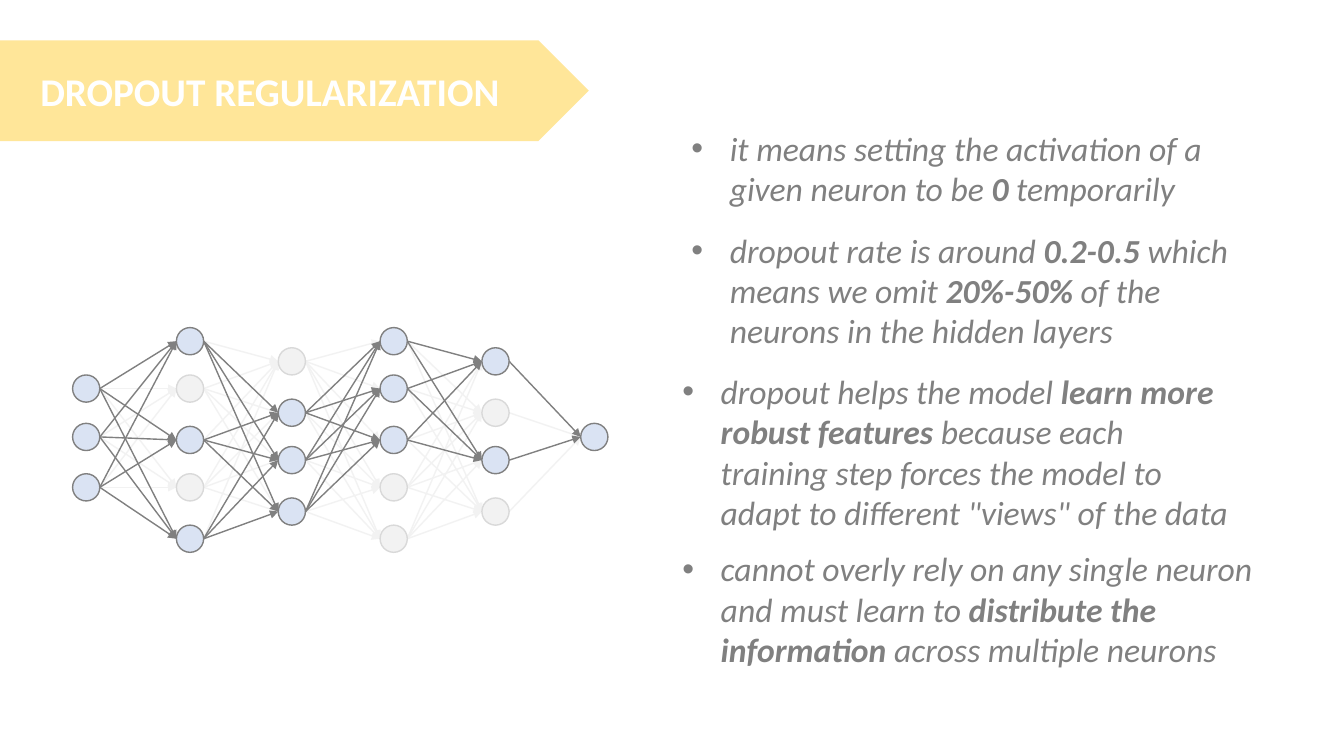
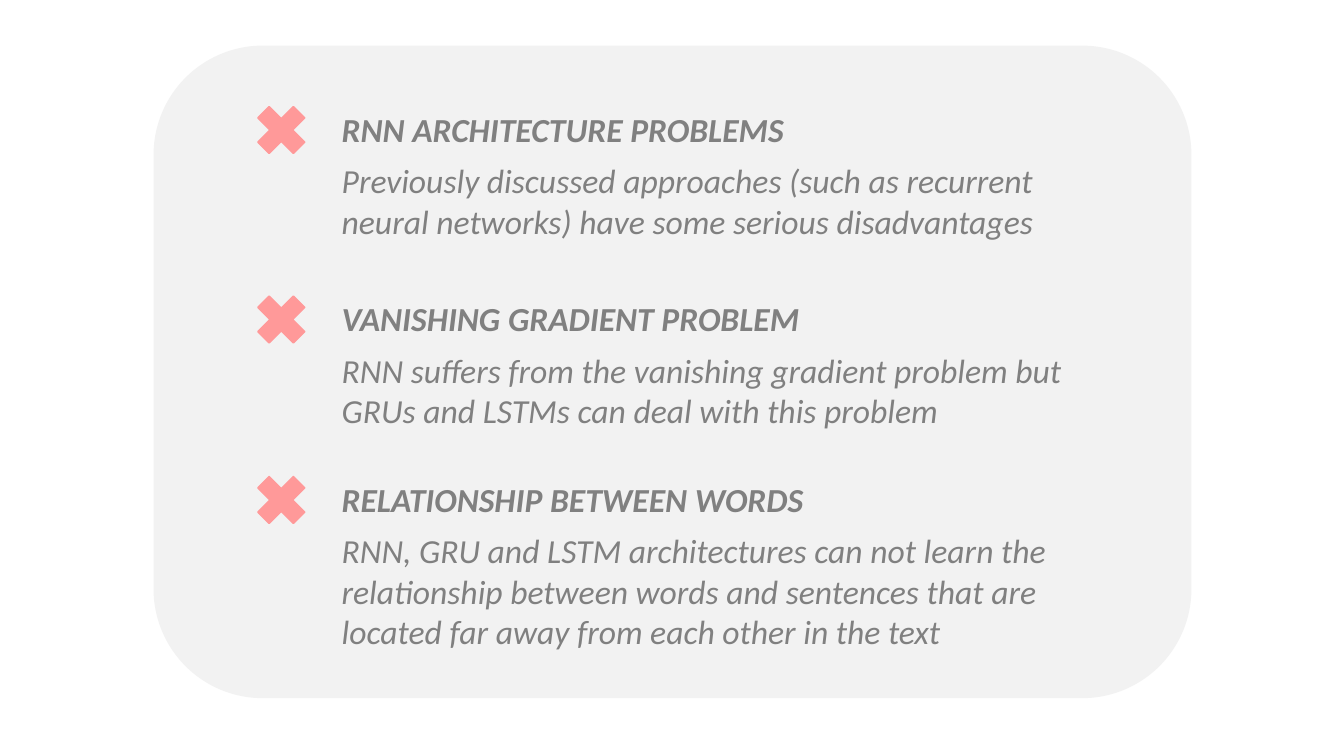
from itertools import pairwise, product

from lxml import etree
from pptx import Presentation
from pptx.dml.color import RGBColor
from pptx.enum.shapes import MSO_CONNECTOR, MSO_SHAPE
from pptx.enum.text import MSO_ANCHOR, MSO_AUTO_SIZE, PP_ALIGN
from pptx.oxml.ns import qn
from pptx.util import Inches, Pt

STRAIGHT = MSO_CONNECTOR.STRAIGHT
OVAL, BANNER = MSO_SHAPE.OVAL, MSO_SHAPE.PENTAGON
ROUNDED, CROSS = MSO_SHAPE.ROUNDED_RECTANGLE, MSO_SHAPE.MATH_MULTIPLY
LEFT, MIDDLE = PP_ALIGN.LEFT, MSO_ANCHOR.MIDDLE
FIT_SHAPE, FIT_NONE = MSO_AUTO_SIZE.SHAPE_TO_FIT_TEXT, MSO_AUTO_SIZE.NONE

FONT = "Calibri"
WHITE = RGBColor(0xFF, 0xFF, 0xFF)
YELLOW = RGBColor(0xFF, 0xE6, 0x99)
GREY = RGBColor(0x80, 0x80, 0x80)
MID_GREY = RGBColor(0xD9, 0xD9, 0xD9)
PALE_GREY = RGBColor(0xF2, 0xF2, 0xF2)
PALE_BLUE = RGBColor(0xDA, 0xE3, 0xF3)
PINK = RGBColor(0xFF, 0x99, 0x99)

TITLE = "DROPOUT REGULARIZATION"

# left, top, width, height, runs as (text, bold)
BULLETS = [
    (6.76, 1.22, 5.67, 0.91, [
        ("it means setting the activation of a given neuron to be ", False),
        ("0", True),
        (" temporarily", False)]),
    (6.76, 2.23, 5.67, 1.31, [
        ("dropout rate is around ", False),
        ("0.2-0.5 ", True),
        ("which means we omit ", False),
        ("20%-50% ", True),
        ("of the neurons in the hidden layers", False)]),
    (6.67, 3.63, 5.67, 1.72, [
        ("dropout helps the model ", False),
        ("learn more robust features", True),
        (" because each training step forces the model to adapt to "
         "different \"views\" of the data", False)]),
    (6.67, 5.39, 6.32, 1.31, [
        ("cannot overly rely on any single neuron and must learn to ", False),
        ("distribute the information", True),
        (" across multiple neurons", False)]),
]

# Tops of the neurons in a layer of each size
NEURON = 0.27
TOPS = {
    1: [4.2],
    3: [3.72, 4.2, 4.7],
    4: [3.45, 3.96, 4.43, 4.94],
    5: [3.25, 3.72, 4.23, 4.7, 5.21],
}
# left of the layer, 1 for each kept neuron and 0 for each dropped one
LAYERS = [
    (0.72, [1, 1, 1]),
    (1.75, [1, 0, 1, 0, 1]),
    (2.76, [0, 1, 1, 1]),
    (3.77, [1, 1, 1, 0, 0]),
    (4.78, [1, 0, 1, 0]),
    (5.76, [1]),
]

# heading top, body height, heading, body
PROBLEMS = [
    (1.03, 0.91, "RNN ARCHITECTURE PROBLEMS",
     "Previously discussed approaches (such as recurrent neural networks) "
     "have some serious disadvantages"),
    (2.91, 0.91, "VANISHING GRADIENT PROBLEM",
     "RNN suffers from the vanishing gradient problem but GRUs and LSTMs "
     "can deal with this problem"),
    (4.7, 1.31, "RELATIONSHIP BETWEEN WORDS",
     "RNN, GRU and LSTM architectures can not learn the relationship between "
     "words and sentences that are located far away from each other in the text"),
]


def add_shape(slide, kind, box, fill, line=None):
    sp = slide.shapes.add_shape(kind, *map(Inches, box))
    sp.shadow.inherit = False
    sp.fill.solid()
    sp.fill.fore_color.rgb = fill
    if line is None:
        sp.line.fill.background()
    else:
        sp.line.color.rgb = line
        sp.line.width = Pt(1)
    return sp


def add_arrow(slide, start, end, color):
    line = slide.shapes.add_connector(STRAIGHT, *map(Inches, (*start, *end)))
    line.line.color.rgb = color
    line.line.width = Pt(1)
    etree.SubElement(line.line._get_or_add_ln(), qn("a:tailEnd"), type="triangle")
    etree.SubElement(line.element.spPr, qn("a:effectLst"))


def add_run(p, text, size, color, bold, italic):
    r = p.add_run()
    r.text = text
    r.font.name, r.font.size = FONT, Pt(size)
    r.font.bold, r.font.italic = bold, italic
    r.font.color.rgb = color


def add_text(slide, box, runs, bullet=False):
    tf = slide.shapes.add_textbox(*map(Inches, box)).text_frame
    tf.word_wrap = True
    tf.auto_size = FIT_SHAPE
    p = tf.paragraphs[0]
    if bullet:
        pPr = p._p.get_or_add_pPr()
        indent = Inches(0.38)
        pPr.set("marL", str(indent))
        pPr.set("indent", str(-indent))
        etree.SubElement(pPr, qn("a:buFont"), typeface="Arial")
        etree.SubElement(pPr, qn("a:buChar"), char="•")
    for text, bold in runs:
        add_run(p, text, 24, GREY, bold, True)


def add_banner_title(slide, text):
    title = slide.shapes.title
    banner = add_shape(slide, BANNER, (0, 0.4, 5.84, 1), YELLOW)
    title.element.addprevious(banner.element)
    title.left, title.top = Inches(0.3), Inches(0.4)
    title.width, title.height = Inches(5.2), Inches(1)
    tf = title.text_frame
    tf.auto_size = FIT_NONE
    tf.vertical_anchor = MIDDLE
    p = tf.paragraphs[0]
    p.alignment = LEFT
    add_run(p, text, 28, WHITE, True, False)


def add_network(slide):
    """Draw faded links, then neurons, then the links between kept neurons."""
    layers = [[(x, y, kept) for y, kept in zip(TOPS[len(flags)], flags)]
              for x, flags in LAYERS]
    links = [link for a, b in pairwise(layers) for link in product(a, b)]

    def add_links(active, color):
        for (x1, y1, kept1), (x2, y2, kept2) in links:
            if (kept1 and kept2) == active:
                add_arrow(slide, (x1 + NEURON, y1 + NEURON / 2),
                          (x2, y2 + NEURON / 2), color)

    add_links(0, PALE_GREY)
    for layer in layers:
        for x, y, kept in layer:
            fill, line = (PALE_BLUE, GREY) if kept else (PALE_GREY, MID_GREY)
            add_shape(slide, OVAL, (x, y, NEURON, NEURON), fill, line)
    add_links(1, GREY)


def build_dropout(prs):
    slide = prs.slides.add_slide(prs.slide_layouts.get_by_name("Title Only"))
    add_banner_title(slide, TITLE)
    add_network(slide)
    for *box, runs in BULLETS:
        add_text(slide, box, runs, bullet=True)


def build_problems(prs):
    slide = prs.slides.add_slide(prs.slide_layouts.get_by_name("Blank"))
    add_shape(slide, ROUNDED, (1.53, 0.46, 10.28, 6.46), PALE_GREY, PALE_GREY)
    for top, height, heading, body in PROBLEMS:
        add_shape(slide, CROSS, (2.45, top - 0.08, 0.68, 0.68), PINK, PINK)
        add_text(slide, (3.29, top, 7.55, 0.5), [(heading, True)])
        add_text(slide, (3.29, top + 0.51, 7.55, height), [(body, False)])


def main():
    prs = Presentation()
    prs.slide_width, prs.slide_height = Inches(13.33), Inches(7.5)
    build_dropout(prs)
    build_problems(prs)
    prs.save("out.pptx")


if __name__ == "__main__":
    main()
